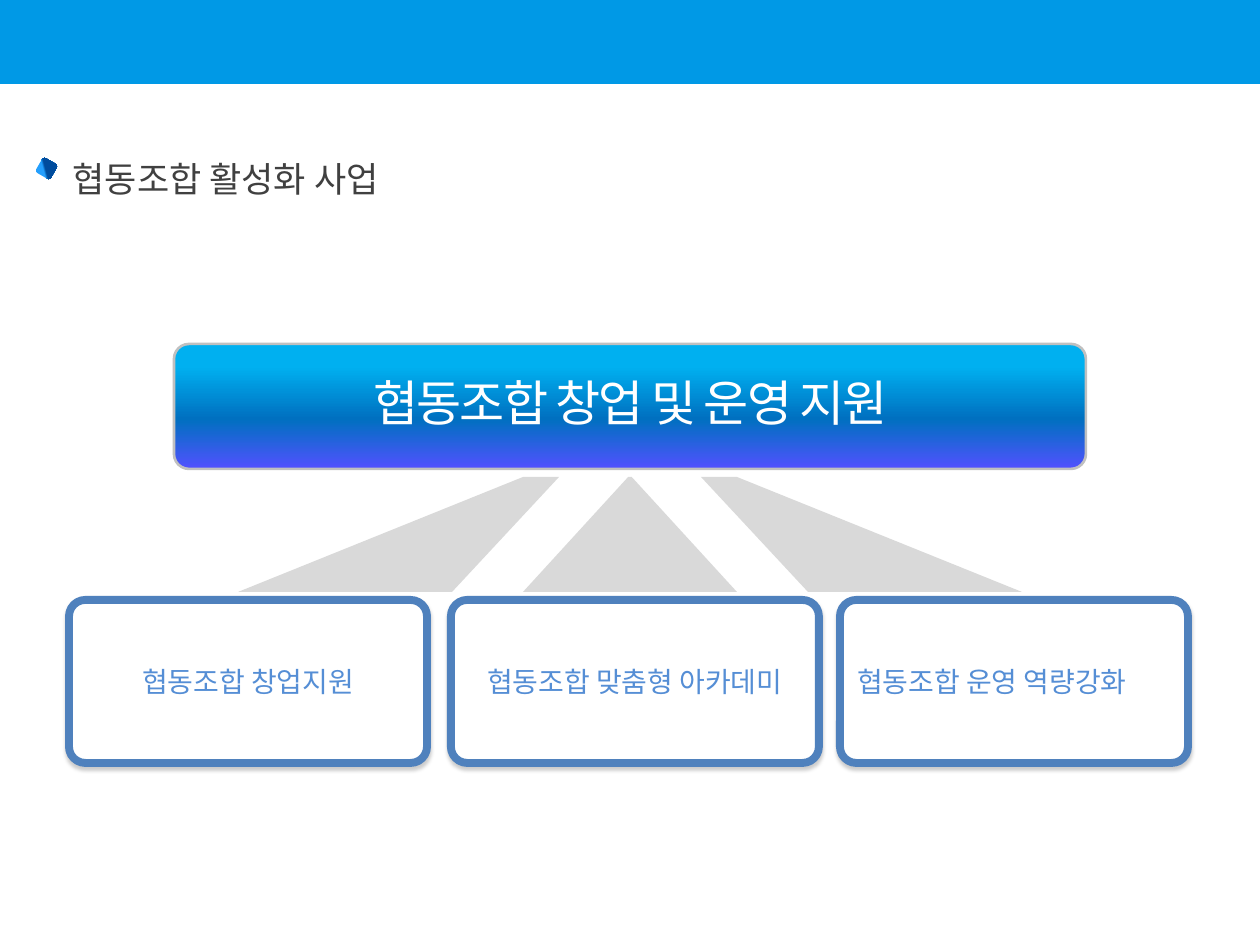
from dataclasses import dataclass

from lxml.etree import SubElement
from pptx import Presentation
from pptx.dml.color import RGBColor
from pptx.enum.shapes import MSO_SHAPE as Shape
from pptx.enum.text import MSO_ANCHOR as Anchor, MSO_AUTO_SIZE as Fit, PP_ALIGN as Align
from pptx.oxml.ns import qn
from pptx.util import Emu, Pt

PX = 914400 // 126
FONT = "Noto Sans CJK KR"
COLORS = {
    "band": "0099E6", "ray": "D9D9D9", "rim": "C0C0C0", "white": "FFFFFF",
    "edge": "4F81BD", "label": "558ED5", "title": "404040", "shade": "000000",
    "violet": "5151FF", "blue": "0070C0", "sky": "00B0F0",
    "light": "249FFD", "dark": "004C9D",
}


@dataclass
class Box:
    x: int
    y: int
    w: int
    h: int

    def place(self) -> list[Emu]:
        return [Emu(v * PX) for v in (self.x, self.y, self.w, self.h)]


@dataclass
class Card:
    text: str
    x: int
    w: int
    align: Align = Align.CENTER


def rgb(name: str) -> RGBColor:
    return RGBColor.from_string(COLORS[name])


def paint(shape, fill: str = "", line: str = "", width: float = 0) -> None:
    shape.shadow.inherit = False
    if fill:
        shape.fill.solid()
        shape.fill.fore_color.rgb = rgb(fill)
    if line:
        shape.line.color.rgb = rgb(line)
        shape.line.width = Pt(width)
    else:
        shape.line.fill.background()


def add_box(slide, kind: Shape, box: Box, adj: float | None = None, **look):
    shape = slide.shapes.add_shape(kind, *box.place())
    if adj is not None:
        shape.adjustments[0] = adj
    paint(shape, **look)
    return shape


def blend(shape, stops: list[tuple[int, str]], angle: int) -> None:
    shape.fill.gradient()
    grad = shape._element.spPr.find(qn("a:gradFill"))
    held = grad.find(qn("a:gsLst"))
    for old in list(held):
        held.remove(old)
    for pos, name in stops:
        stop = SubElement(held, qn("a:gs"), pos=str(pos * 1000))
        SubElement(stop, qn("a:srgbClr"), val=COLORS[name])
    grad.find(qn("a:lin")).set("ang", str(angle * 60000))


def cast(shape) -> None:
    list_ = shape._element.spPr.find(qn("a:effectLst"))
    drop = SubElement(list_, qn("a:outerShdw"), blurRad=str(Pt(2)), dist=str(Pt(2)),
                      dir="5400000", rotWithShape="0")
    color = SubElement(drop, qn("a:srgbClr"), val=COLORS["shade"])
    SubElement(color, qn("a:alpha"), val="20000")


def write(shape, text: str, size: int, color: str, align: Align, space: int = 0, **frame) -> None:
    body = shape.text_frame
    for key, value in frame.items():
        setattr(body, key, value)
    para = body.paragraphs[0]
    para.alignment = align
    run = para.add_run()
    run.text = text
    for key, value in {"size": Pt(size), "name": FONT, "bold": False}.items():
        setattr(run.font, key, value)
    run.font.color.rgb = rgb(color)
    props = run._r.get_or_add_rPr()
    SubElement(props, qn("a:ea"), typeface=FONT)
    if space:
        props.set("spc", str(space))


def add_ray(slide, points: list[tuple[int, int]]) -> None:
    pen = slide.shapes.build_freeform(*points[0], scale=PX)
    pen.add_line_segments(points[1:], close=True)
    paint(pen.convert_to_shape(), "ray")


deck = Presentation()
deck.slide_width, deck.slide_height = Emu(1260 * PX), Emu(945 * PX)
slide = deck.slides.add_slide(deck.slide_layouts[5])

# Top band
add_box(slide, Shape.RECTANGLE, Box(0, 0, 1260, 84), fill="band")

# Title and its marker
title = slide.shapes.title
spot = zip(("left", "top", "width", "height"), Box(60, 126, 367, 81).place())
for key, value in spot:
    setattr(title, key, value)
write(title, "협동조합 활성화 사업", 20, "title", Align.LEFT,
      word_wrap=False, auto_size=Fit.NONE, vertical_anchor=Anchor.TOP)
title.text_frame.paragraphs[0].line_spacing = 1.6
mark = add_box(slide, Shape.ROUNDED_RECTANGLE, Box(38, 160, 17, 17))
blend(mark, [(40, "light"), (48, "dark")], 45)
mark.rotation = 300

# Rays: the right one mirrors the left one
TOP, LOW, MID = 477, 592, 630
left = [(523, TOP), (559, TOP), (452, LOW), (238, LOW)]
add_ray(slide, left)
add_ray(slide, [(2 * MID - x, y) for x, y in left])
add_box(slide, Shape.TRAPEZOID, Box(523, TOP, 214, LOW - TOP), 0.915, fill="ray")

# Main bar
bar = add_box(slide, Shape.ROUNDED_RECTANGLE, Box(174, 344, 912, 125), 0.12,
              line="rim", width=1.5)
blend(bar, [(0, "violet"), (40, "blue"), (82, "sky"), (100, "sky")], 270)
head = slide.shapes.add_textbox(*Box(223, 373, 815, 59).place())
flush = dict.fromkeys(("margin_left", "margin_top", "margin_right", "margin_bottom"), 0)
write(head, "협동조합 창업 및 운영 지원", 28, "white", Align.CENTER, -100,
      word_wrap=True, auto_size=Fit.SHAPE_TO_FIT_TEXT, **flush)

# Cards
CARDS = [
    Card("협동조합 창업지원", 69, 358),
    Card("협동조합 맞춤형 아카데미", 451, 368),
    Card("협동조합 운영 역량강화", 840, 348, Align.LEFT),
]
for card in CARDS:
    shape = add_box(slide, Shape.ROUNDED_RECTANGLE, Box(card.x, 600, card.w, 163), 0.1,
                    fill="white", line="edge", width=4.5)
    cast(shape)
    write(shape, card.text, 16, "label", card.align,
          word_wrap=True, vertical_anchor=Anchor.MIDDLE)

deck.save("out.pptx")
